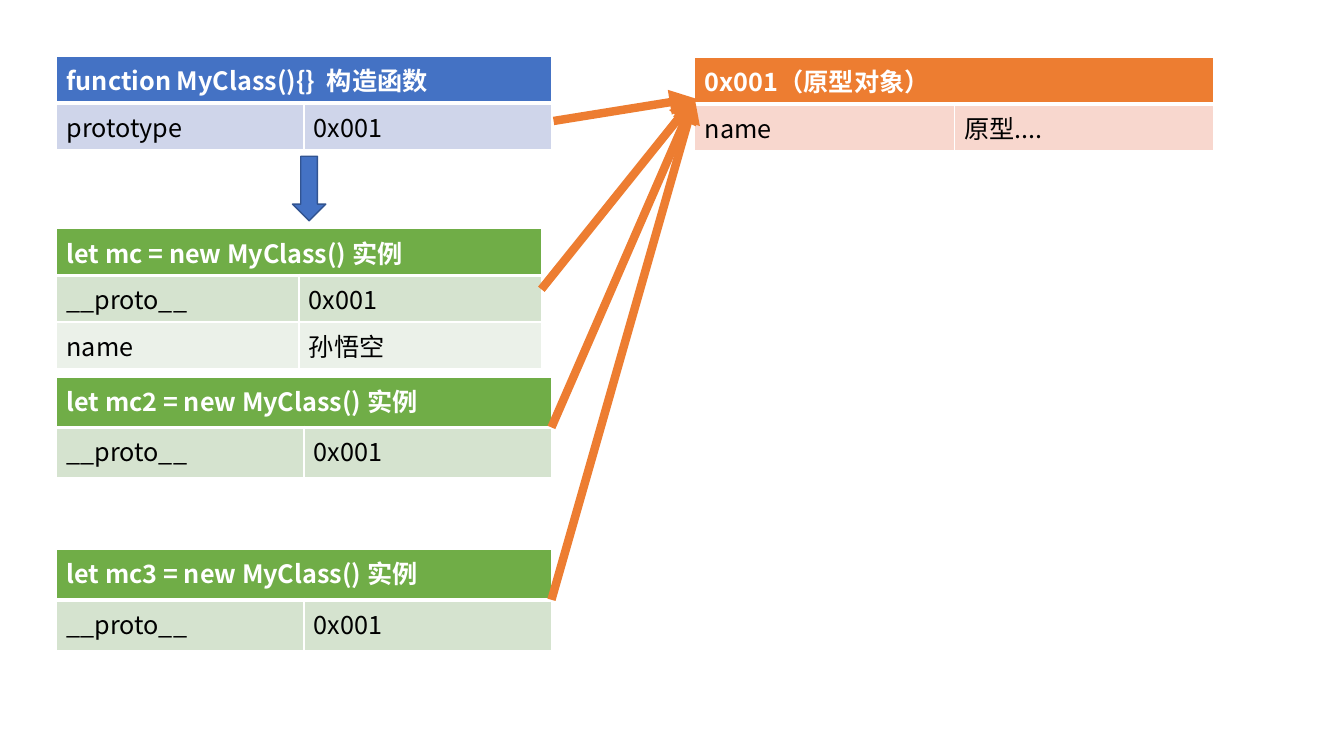
from dataclasses import dataclass

from lxml import etree
from pptx import Presentation
from pptx.dml.color import RGBColor
from pptx.enum.shapes import MSO_CONNECTOR, MSO_SHAPE
from pptx.oxml.ns import qn
from pptx.util import Inches, Length, Pt

STRAIGHT = MSO_CONNECTOR.STRAIGHT
DOWN_ARROW = MSO_SHAPE.DOWN_ARROW
FONT = "Noto Sans CJK SC"
WIDTH, HEIGHT = Inches(13.33), Inches(7.5)
WHITE, BLACK = "FFFFFF", "000000"
BLUE, ORANGE, GREEN = "4472C4", "ED7D31", "70AD47"
BLUE_BAND, ORANGE_BAND = ["CFD5EA"], ["F8D7CE"]
GREEN_BANDS = ["D5E3CF", "EBF1E9"]


@dataclass(frozen=True)
class ObjectTable:
    """An object's title and fields, placed in percent of the slide's size."""
    title: str
    fields: list[tuple[str, str]]
    left: float
    top: float
    width: float
    row_height: float
    header: str
    bands: list[str]

    @property
    def right(self) -> float:
        return self.left + self.width

    @property
    def middle(self) -> float:
        return self.top + self.row_height * (len(self.fields) + 1) / 2


PROTO_FIELD = ("__proto__", "0x001")
CONSTRUCTOR = ObjectTable("function MyClass(){}  构造函数", [("prototype", "0x001")],
                          4.2, 7.47, 36.83, 5.47, BLUE, BLUE_BAND)
PROTOTYPE = ObjectTable("0x001（原型对象）", [("name", "原型....")],
                        51.69, 7.6, 38.63, 5.4, ORANGE, ORANGE_BAND)
INSTANCES = [
    ObjectTable("let mc = new MyClass() 实例", [PROTO_FIELD, ("name", "孙悟空")],
                4.2, 30.27, 36.08, 5.33, GREEN, GREEN_BANDS),
    ObjectTable("let mc2 = new MyClass() 实例", [PROTO_FIELD],
                4.2, 49.87, 36.83, 6.67, GREEN, GREEN_BANDS),
    ObjectTable("let mc3 = new MyClass() 实例", [PROTO_FIELD],
                4.2, 72.67, 36.83, 6.67, GREEN, GREEN_BANDS),
]


def across(percent: float) -> Length:
    return Length(round(WIDTH * percent / 100))


def down(percent: float) -> Length:
    return Length(round(HEIGHT * percent / 100))


def color(value: str) -> RGBColor:
    return RGBColor.from_string(value)


def set_borders(cell, top: float, bottom: float) -> None:
    properties = cell._tc.get_or_add_tcPr()
    for side, points in (("L", 1), ("R", 1), ("T", top), ("B", bottom)):
        border = etree.SubElement(properties, qn(f"a:ln{side}"), w=str(Pt(points)))
        fill = etree.SubElement(border, qn("a:solidFill"))
        etree.SubElement(fill, qn("a:srgbClr"), val=WHITE)


def style_cell(cell, text: str, fill: str, font_color: str, bold: bool) -> None:
    cell.fill.solid()
    cell.fill.fore_color.rgb = color(fill)
    cell.text = text
    font = cell.text_frame.paragraphs[0].font
    font.name, font.size, font.bold = FONT, Pt(18), bold
    font.color.rgb = color(font_color)


def draw_table(slide, item: ObjectTable) -> None:
    row_count = len(item.fields) + 1
    table = slide.shapes.add_table(
        row_count, 2, across(item.left), down(item.top),
        across(item.width), down(item.row_height * row_count)).table
    for row_index in range(row_count):
        for cell in table.rows[row_index].cells:
            set_borders(cell, 3 if row_index == 1 else 1, 3 if row_index == 0 else 1)
    title_cell = table.cell(0, 0)
    title_cell.merge(table.cell(0, 1))
    style_cell(title_cell, item.title, item.header, WHITE, True)
    for row_index, field in enumerate(item.fields, start=1):
        for column_index, text in enumerate(field):
            style_cell(table.cell(row_index, column_index), text,
                       item.bands[row_index - 1], BLACK, False)


def draw_link(slide, left: float, top: float) -> None:
    connector = slide.shapes.add_connector(
        STRAIGHT, across(left), down(top), across(PROTOTYPE.left), down(PROTOTYPE.middle))
    connector.line.color.rgb = color(ORANGE)
    connector.line.width = Pt(6)
    etree.SubElement(connector.line._get_or_add_ln(), qn("a:tailEnd"), type="triangle")
    etree.SubElement(connector._element.spPr, qn("a:effectLst"))


def draw_down_arrow(slide) -> None:
    arrow = slide.shapes.add_shape(DOWN_ARROW, across(21.76), down(20.67),
                                   across(2.48), down(8.53))
    arrow.shadow.inherit = False
    arrow.fill.solid()
    arrow.fill.fore_color.rgb = color(BLUE)
    arrow.line.color.rgb = color("325491")
    arrow.line.width = Pt(1)


def main() -> None:
    presentation = Presentation()
    presentation.slide_width, presentation.slide_height = WIDTH, HEIGHT
    slide = presentation.slides.add_slide(presentation.slide_layouts[6])
    for item in (CONSTRUCTOR, PROTOTYPE, *INSTANCES):
        draw_table(slide, item)
    draw_down_arrow(slide)
    draw_link(slide, 41.19, 16)
    for instance in INSTANCES:
        draw_link(slide, instance.right, instance.middle)
    presentation.save("out.pptx")


if __name__ == "__main__":
    main()
